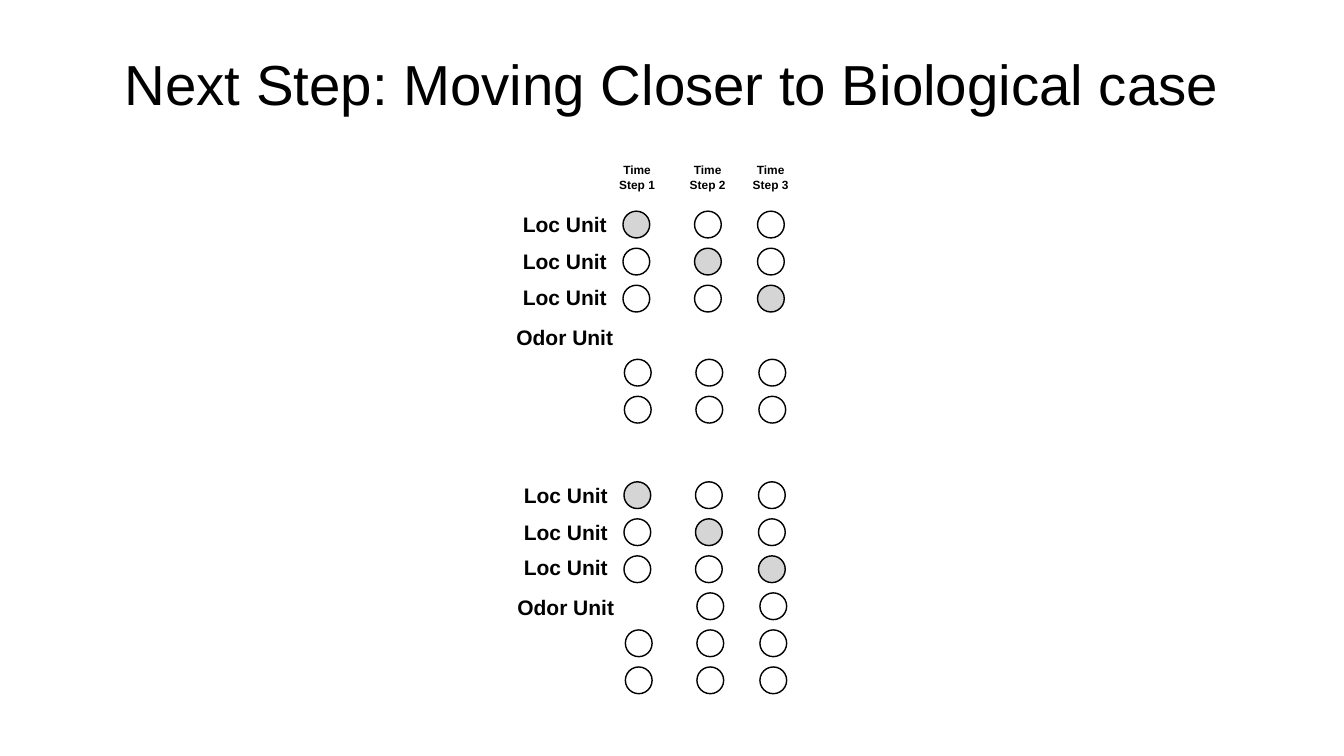
from pptx import Presentation
from pptx.dml.color import RGBColor
from pptx.enum.shapes import MSO_SHAPE
from pptx.enum.text import MSO_ANCHOR, MSO_AUTO_SIZE, PP_ALIGN
from pptx.util import Pt

OVAL = MSO_SHAPE.OVAL
MIDDLE = MSO_ANCHOR.MIDDLE
CENTER = PP_ALIGN.CENTER
NO_FIT, GROW = MSO_AUTO_SIZE.NONE, MSO_AUTO_SIZE.SHAPE_TO_FIT_TEXT

COLORS = {"text": "000000", "outline": "000000", "idle": "FFFFFF", "active": "D5D5D5"}
FONT = "Arial"
INSET = 4

UNIT_SIZE = 38.2
ROW_PITCH = 52.9
ROW_COUNT = 6
ODOR_ROW = 3
ODOR_SHIFT = 2
STEP_LEFTS = (157, 259.2, 349.2)
UNIT_LABELS = (  # text, left, top, width within the network
    ("Loc Unit", 9.4, 0, 129),
    ("Loc Unit", 9.4, 52.6, 129),
    ("Loc Unit", 9.4, 103, 129),
    ("Odor Unit", 0, 160.6, 147.6),
)


def color(name):
    return RGBColor.from_string(COLORS[name])


def place(shape, left, top, width, height):
    box = {"left": left, "top": top, "width": width, "height": height}
    for side, length in box.items():
        setattr(shape, side, Pt(length))


def write(shape, text, size, bold, wrap, fit):
    frame = shape.text_frame
    frame.text = text
    settings = {"word_wrap": wrap, "auto_size": fit, "vertical_anchor": MIDDLE}
    settings.update({f"margin_{side}": Pt(INSET) for side in ("left", "top", "right", "bottom")})
    for name, value in settings.items():
        setattr(frame, name, value)
    paragraph = frame.paragraphs[0]
    paragraph.alignment = CENTER
    font = paragraph.runs[0].font
    for name, value in {"name": FONT, "size": Pt(size), "bold": bold}.items():
        setattr(font, name, value)
    font.color.rgb = color("text")


def add_label(slide, text, left, top, width, height, size, wrap):
    label = slide.shapes.add_textbox(Pt(left), Pt(top), Pt(width), Pt(height))
    write(label, text, size, True, wrap, GROW)


def add_unit(shapes, left, top, state):
    unit = shapes.add_shape(OVAL, Pt(left), Pt(top), Pt(UNIT_SIZE), Pt(UNIT_SIZE))
    unit.shadow.inherit = False
    unit.fill.solid()
    unit.fill.fore_color.rgb = color(state)
    unit.line.color.rgb = color("outline")
    unit.line.width = Pt(2)


def add_title(slide, left, top, width, height):
    place(slide.shapes.title, left, top, width, height)
    write(slide.shapes.title, "Next Step: Moving Closer to Biological case", 80.6, False, True, NO_FIT)


def add_step_headings(slide, left, top):
    for step, offset in enumerate((0, 100.8, 190.8), start=1):
        add_label(slide, f"Time Step {step}", left + offset, top, 66.2, 49.7, 17, True)


def add_network(slide, left, top, first_odor_steps):
    """Draw one grid of units; first_odor_steps have a unit beside the odor label."""
    for step, step_left in enumerate(STEP_LEFTS):
        # The first time step is one grouped column.
        shapes = slide.shapes.add_group_shape().shapes if step == 0 else slide.shapes
        for row in range(ROW_COUNT):
            if row == ODOR_ROW and step not in first_odor_steps:
                continue
            shift = ODOR_SHIFT if row >= ODOR_ROW else 0
            state = "active" if row == step else "idle"
            add_unit(shapes, left + step_left + shift, top + 2.9 + row * ROW_PITCH, state)
    for text, label_left, label_top, width in UNIT_LABELS:
        add_label(slide, text, left + label_left, top + label_top, width, 44, 30, False)


def main():
    deck = Presentation()
    deck.slide_width, deck.slide_height = Pt(1920), Pt(1080)
    slide = deck.slides.add_slide(deck.slide_layouts[5])
    add_title(slide, 133, 28, 1654, 180)
    add_network(slide, 733, 298.8, first_odor_steps=())
    add_network(slide, 734.4, 685.4, first_odor_steps=(1, 2))
    add_step_headings(slide, 877, 228.2)
    deck.save("out.pptx")


if __name__ == "__main__":
    main()
